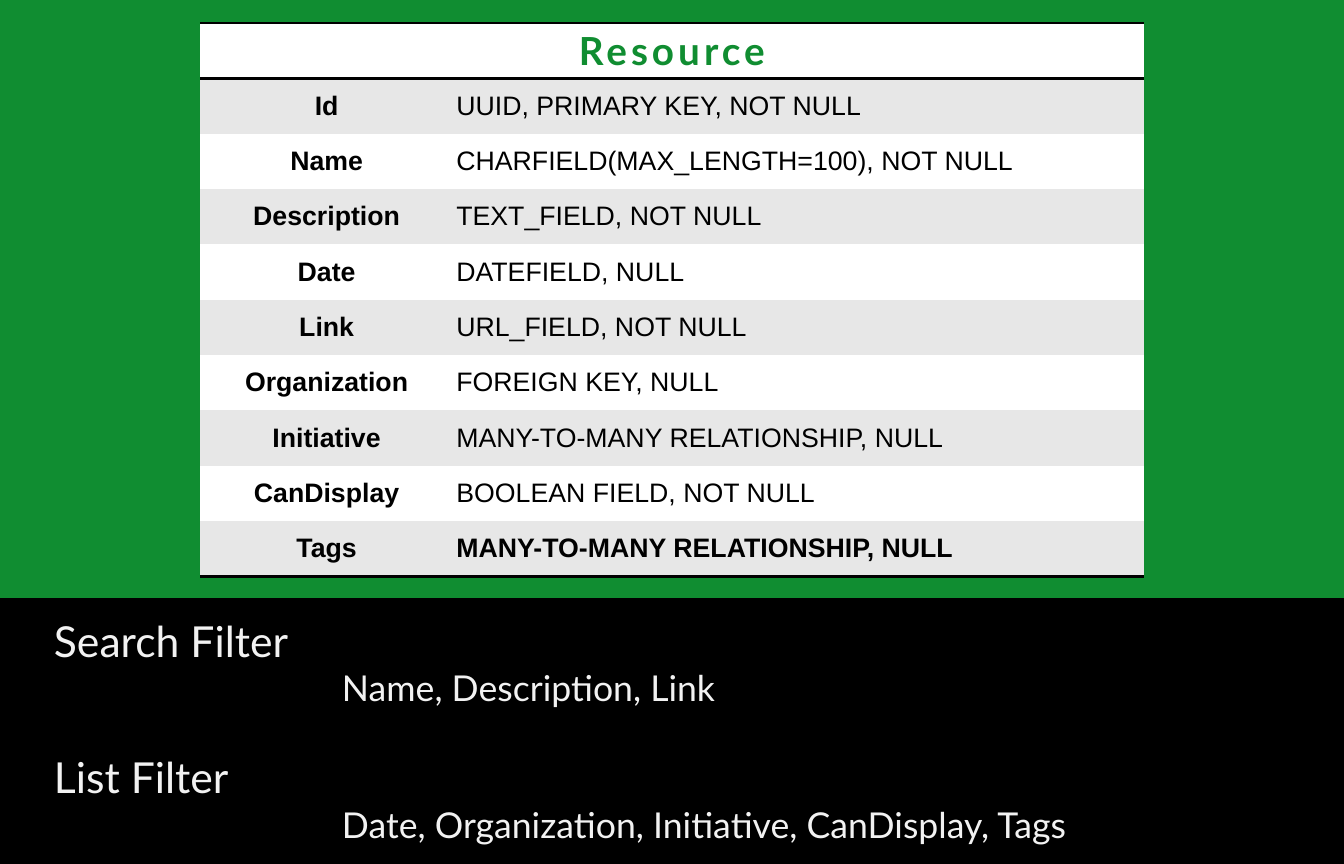
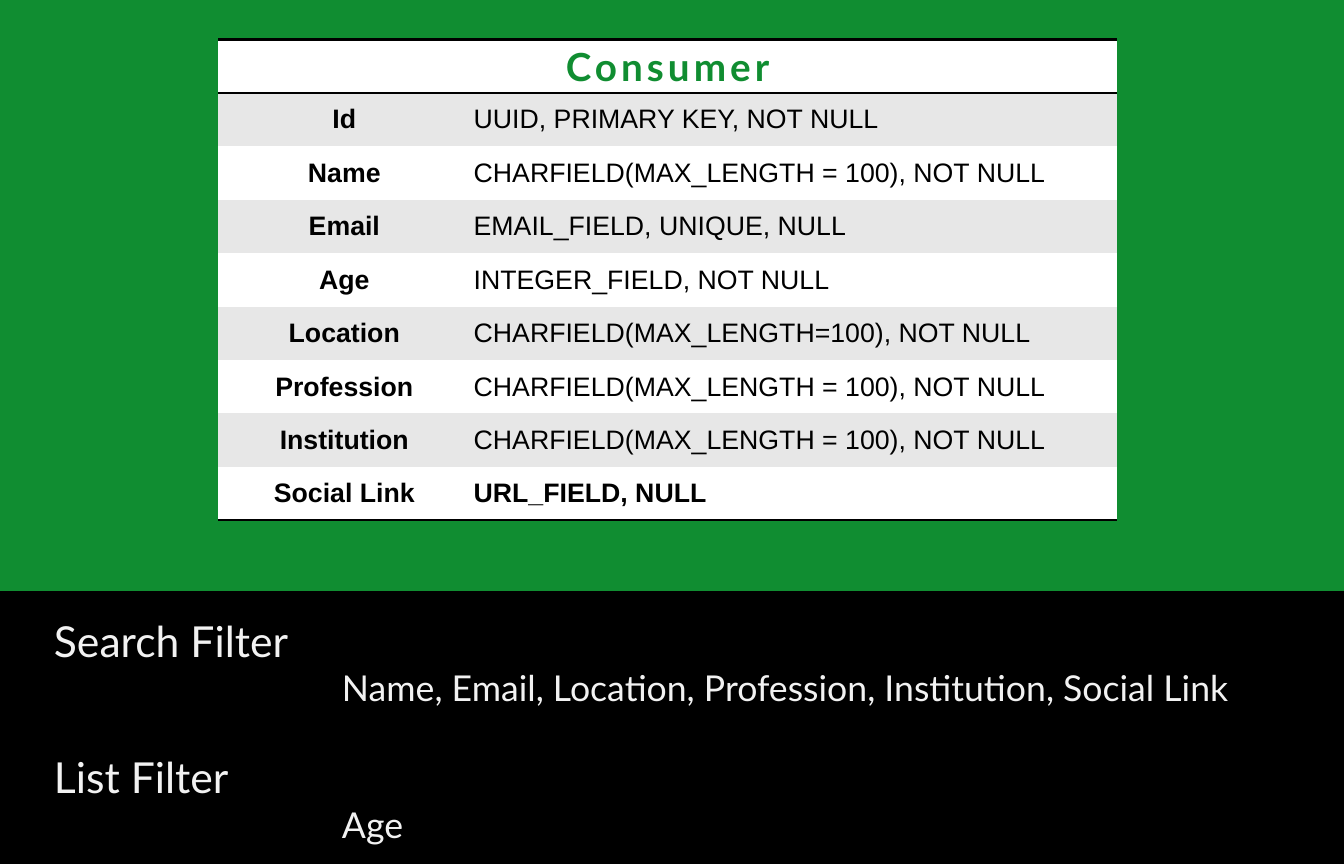
from lxml.etree import SubElement
from pptx import Presentation
from pptx.dml.color import RGBColor
from pptx.enum.shapes import MSO_SHAPE
from pptx.enum.text import MSO_ANCHOR, PP_ALIGN
from pptx.oxml.ns import qn
from pptx.util import Pt

COLORS = {
    "green": "108D31",
    "white": "FFFFFF",
    "stripe": "E7E7E7",
    "black": "000000",
    "pale": "F2F2F2",
}
SLIDE_W, SLIDE_H = 1008, 648
PANEL_H = 204
NO_STYLE = "{2D5ABB26-0587-4C30-8999-92F81FD0307C}"

RESOURCE = [
    ("Id", "UUID, PRIMARY KEY, NOT NULL"),
    ("Name", "CHARFIELD(MAX_LENGTH=100), NOT NULL"),
    ("Description", "TEXT_FIELD, NOT NULL"),
    ("Date", "DATEFIELD, NULL"),
    ("Link", "URL_FIELD, NOT NULL"),
    ("Organization", "FOREIGN KEY, NULL"),
    ("Initiative", "MANY-TO-MANY RELATIONSHIP, NULL"),
    ("CanDisplay", "BOOLEAN FIELD, NOT NULL"),
    ("Tags", "MANY-TO-MANY RELATIONSHIP, NULL"),
]
CONSUMER = [
    ("Id", "UUID, PRIMARY KEY, NOT NULL"),
    ("Name", "CHARFIELD(MAX_LENGTH = 100), NOT NULL"),
    ("Email", "EMAIL_FIELD, UNIQUE, NULL"),
    ("Age", "INTEGER_FIELD, NOT NULL"),
    ("Location", "CHARFIELD(MAX_LENGTH=100), NOT NULL"),
    ("Profession", "CHARFIELD(MAX_LENGTH = 100), NOT NULL"),
    ("Institution", "CHARFIELD(MAX_LENGTH = 100), NOT NULL"),
    ("Social Link", "URL_FIELD, NULL"),
]


def rgb(name):
    return RGBColor.from_string(COLORS[name])


def set_margins(obj):
    """Give a cell or text frame the narrow insets used throughout."""
    obj.margin_left = obj.margin_right = Pt(2.25)
    obj.margin_top = obj.margin_bottom = Pt(1.5)


def add_run(p, text, font, size, color, bold=False):
    r = p.add_run()
    r.text = text
    r.font.name = font
    r.font.size = Pt(size)
    r.font.bold = bold
    r.font.color.rgb = rgb(color)
    return r


def set_borders(cell, *edges):
    """Draw black rules on the given edges, listed in the order T, B."""
    tcPr = cell._tc.get_or_add_tcPr()
    for i, edge in enumerate(edges):
        ln = SubElement(tcPr, qn(f"a:ln{edge}"), w=str(Pt(2)))
        fill = SubElement(ln, qn("a:solidFill"))
        SubElement(fill, qn("a:srgbClr"), val=COLORS["black"])
        tcPr.insert(i, ln)


def fill_cell(cell, color):
    cell.fill.solid()
    cell.fill.fore_color.rgb = rgb(color)
    cell.vertical_anchor = MSO_ANCHOR.MIDDLE
    set_margins(cell)
    return cell.text_frame.paragraphs[0]


def add_schema_table(slide, title, fields, left, top, widths, row_h):
    n = len(fields) + 1
    gf = slide.shapes.add_table(n, 2, Pt(left), Pt(top), Pt(sum(widths)), Pt(n * row_h))
    table = gf.table
    next(gf.element.iter(qn("a:tableStyleId"))).text = NO_STYLE
    for col, width in zip(table.columns, widths):
        col.width = Pt(width)
    for row in table.rows:
        row.height = Pt(row_h)

    header = table.cell(0, 0)
    header.merge(table.cell(0, 1))
    p = fill_cell(header, "white")
    p.alignment = PP_ALIGN.CENTER
    r = add_run(p, title, "Lato", 29, "green", bold=True)
    r.font._element.set("spc", "300")
    for col in range(2):
        set_borders(table.cell(0, col), "T", "B")

    for i, field in enumerate(fields, start=1):
        last = i == len(fields)
        for col, text in enumerate(field):
            cell = table.cell(i, col)
            p = fill_cell(cell, "stripe" if i % 2 else "white")
            p.alignment = PP_ALIGN.LEFT if col else PP_ALIGN.CENTER
            add_run(p, text, "Arial", 20, "black", bold=col == 0 or last)
            if last:
                set_borders(cell, "B")


def add_filter_panel(slide, top, filters):
    sp = slide.shapes.add_shape(MSO_SHAPE.RECTANGLE, 0, Pt(top), Pt(SLIDE_W), Pt(PANEL_H))
    sp.shadow.inherit = False
    sp.fill.solid()
    sp.fill.fore_color.rgb = rgb("black")
    sp.line.color.rgb = rgb("black")
    sp.line.width = Pt(1)

    box = slide.shapes.add_textbox(Pt(38.25), Pt(459.5), Pt(937), Pt(177))
    tf = box.text_frame
    tf.word_wrap = True
    set_margins(tf)
    for i, (heading, names) in enumerate(filters):
        p = tf.add_paragraph() if i else tf.paragraphs[0]
        p.space_before = Pt(32 if i else 0)
        add_run(p, heading, "Lato", 32, "pale")
        p = tf.add_paragraph()
        p._p.get_or_add_pPr().set("marL", str(Pt(216)))
        add_run(p, names, "Lato", 26.7, "pale")


def add_model_slide(prs, title, fields, table_box, panel_top, search, listed):
    slide = prs.slides.add_slide(prs.slide_layouts[6])
    slide.background.fill.solid()
    slide.background.fill.fore_color.rgb = rgb("green")
    add_schema_table(slide, title, fields, *table_box)
    add_filter_panel(slide, panel_top, [("Search Filter", search), ("List Filter", listed)])


def main():
    prs = Presentation()
    prs.slide_width, prs.slide_height = Pt(SLIDE_W), Pt(SLIDE_H)
    add_model_slide(
        prs, "Resource", RESOURCE, (150, 17.25, (190, 518), 41.5), 449,
        "Name, Description, Link",
        "Date, Organization, Initiative, CanDisplay, Tags",
    )
    add_model_slide(
        prs, "Consumer", CONSUMER, (163.5, 29.5, (189.5, 485), 40.1), SLIDE_H - PANEL_H,
        "Name, Email, Location, Profession, Institution, Social Link",
        "Age",
    )
    prs.save("out.pptx")


if __name__ == "__main__":
    main()
